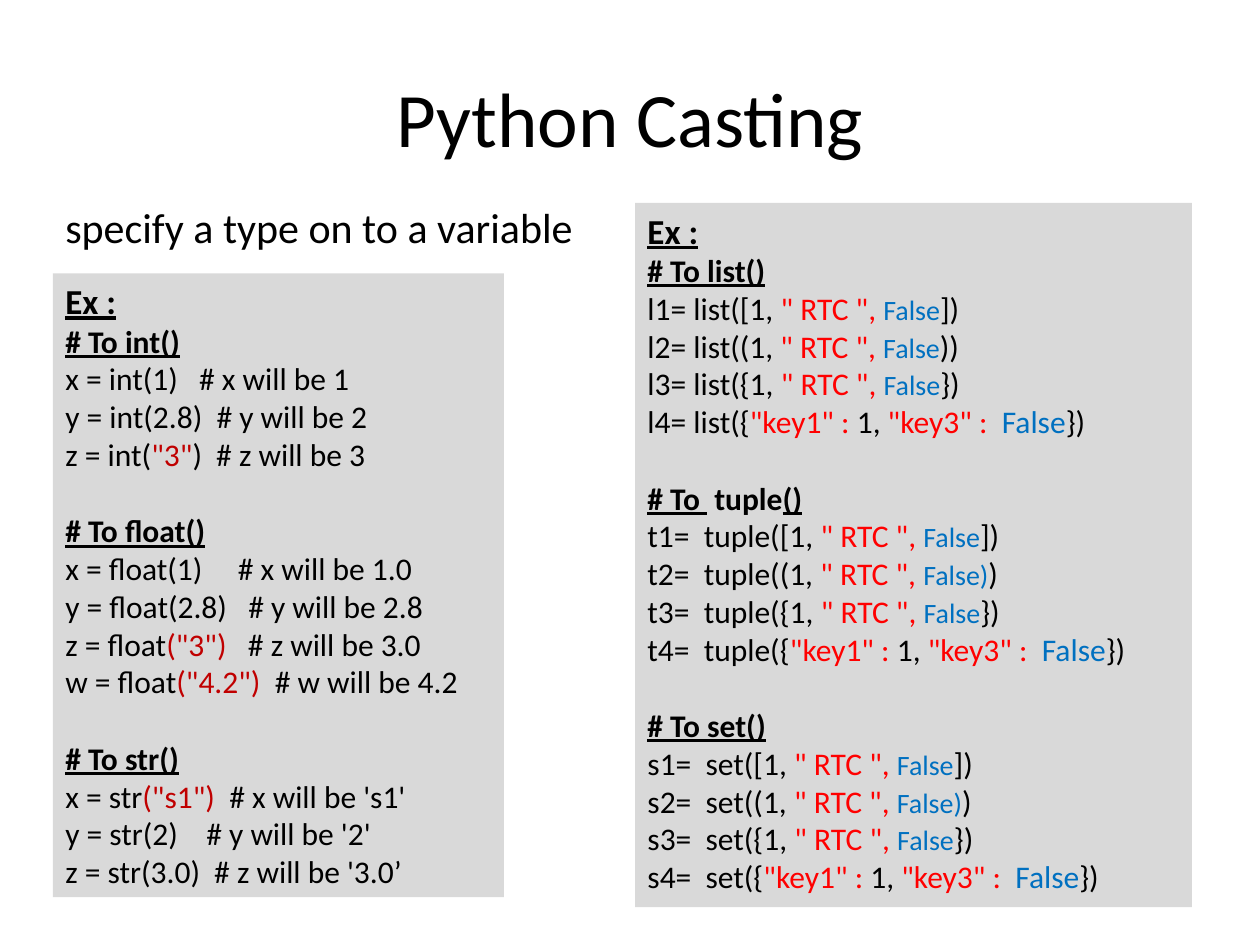
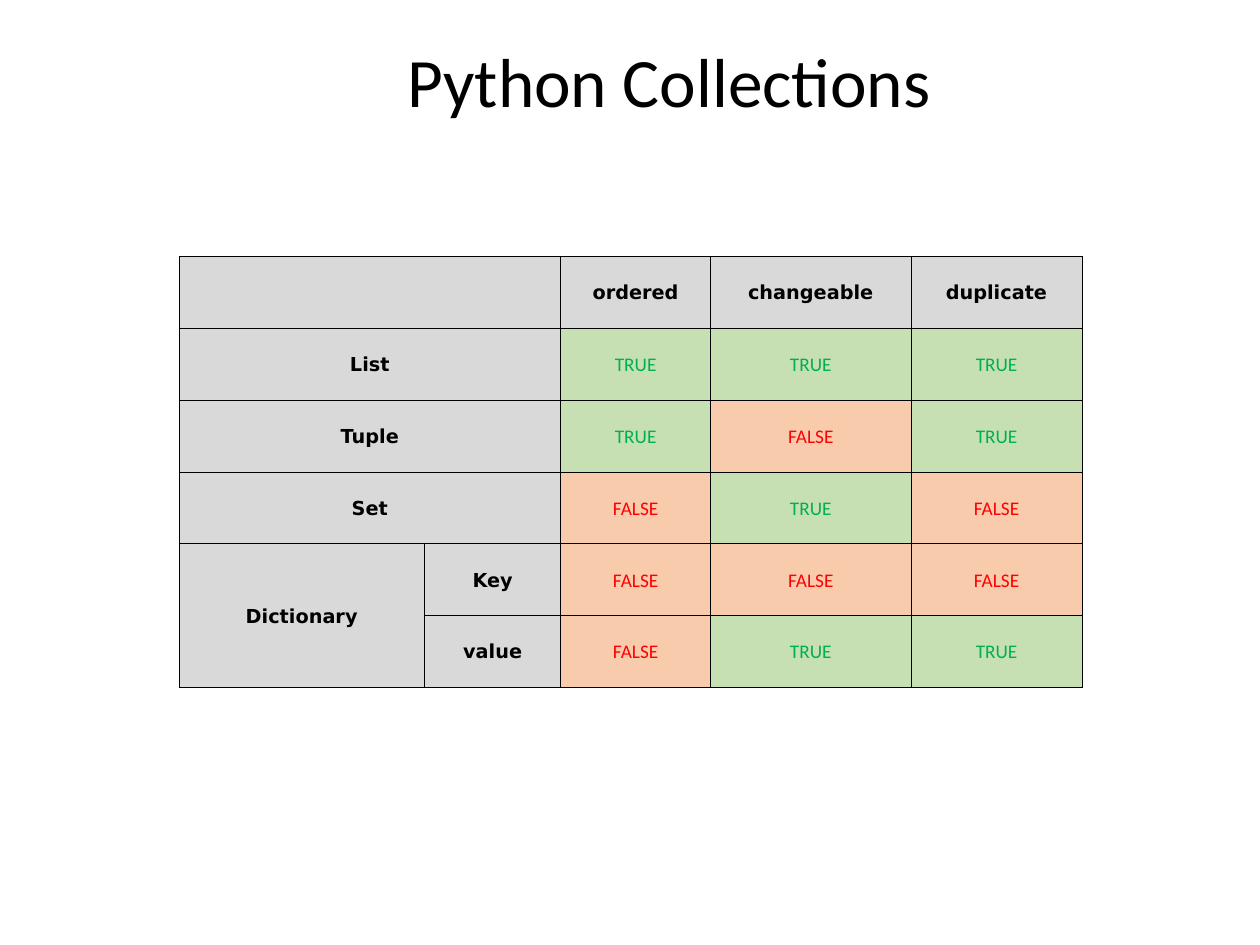
import pptx
import pptx.util
import pptx.dml.color
import pptx.enum.shapes
import pptx.enum.text
import pptx.oxml
import pptx.oxml.ns

Pt, Inches = pptx.util.Pt, pptx.util.Inches
ALIGN, ANCHOR = pptx.enum.text.PP_ALIGN, pptx.enum.text.MSO_ANCHOR

HEX = {"ink": "000000", "panel": "D9D9D9", "dark": "C00000", "red": "FF0000",
       "blue": "0070C0", "green": "00B050", "mint": "C6E0B4", "peach": "F8CBAD"}

# Text styles: size, font and colour, with bold and underline where needed
BASE = {"name": "Calibri", "size": Pt(18), "color": "ink", "bold": False}
STYLES = {
    "code": BASE,
    "label": {**BASE, "size": Pt(20), "bold": True, "underline": True},
    "head": {**BASE, "bold": True, "underline": True},
    "bold": {**BASE, "bold": True},
    "dark": {**BASE, "color": "dark"},
    "red": {**BASE, "color": "red"},
    "blue": {**BASE, "color": "blue"},
    "small": {**BASE, "color": "blue", "size": Pt(16)},
    "title": {**BASE, "size": Pt(44)},
    "title2": {**BASE, "size": Pt(39.6)},
    "lead": {**BASE, "size": Pt(24)},
    "name": {**BASE, "name": "DejaVu Sans", "size": Pt(11), "bold": True},
    "TRUE": {**BASE, "size": Pt(11), "color": "green"},
    "FALSE": {**BASE, "size": Pt(11), "color": "red"},
}

# Boxes as left, top, width, height in percent of the slide
TITLE = (5, 4, 90, 16.67)
LEAD = (4.2, 20.67, 90, 6.67)
LEFT = (4.2, 28.93, 35.8, 66)
RIGHT = (50.4, 21.47, 44.2, 74.53)
GRID = (14.2, 27.1, 71.7, 45.7)

# In each code line, the parts between bars are dark red
CASTS = [
    ("# To int()", ["x = int(1)   # x will be 1",
                    "y = int(2.8)  # y will be 2",
                    'z = int(|"3"|)  # z will be 3']),
    ("# To float()", ["x = float(1)     # x will be 1.0",
                      "y = float(2.8)   # y will be 2.8",
                      'z = float|("3")|   # z will be 3.0',
                      'w = float|("4.2")|  # w will be 4.2']),
    ("# To str()", ["x = str|(\"s1\")|  # x will be 's1'",
                    "y = str(2)    # y will be '2'",
                    "z = str(3.0)  # z will be '3.0’"]),
]

# Heading runs, start of each call, blue text in the second line
GROUPS = [
    ([("head", "# To list()")], "l", " list(", "False"),
    ([("head", "# To "), ("bold", " tuple"), ("head", "()")], "t", "  tuple(", "False)"),
    ([("head", "# To set()")], "s", "  set(", "False)"),
]
PAIRS = ["[]", "()", "{}"]

COLS = [1.95, 1.08, 1.19, 1.59, 1.36]
ROWS = [
    ["", "", "ordered", "changeable", "duplicate"],
    ["List", "", "TRUE", "TRUE", "TRUE"],
    ["Tuple", "", "TRUE", "FALSE", "TRUE"],
    ["Set", "", "FALSE", "TRUE", "FALSE"],
    ["Dictionary", "Key", "FALSE", "FALSE", "FALSE"],
    ["", "value", "FALSE", "TRUE", "TRUE"],
]
MERGES = [((row, 0), (row, 1)) for row in range(4)] + [((4, 0), (5, 0))]
FILLS = {"TRUE": "mint", "FALSE": "peach"}


def rgb(key):
    return pptx.dml.color.RGBColor.from_string(HEX[key])


def place(box):
    """Turn percents of the slide into lengths."""
    return [Inches(part * side / 100) for part, side in zip(box, (10, 7.5, 10, 7.5))]


def write(para, runs, align=ALIGN.LEFT):
    para.alignment = align
    for style, text in runs:
        run = para.add_run()
        run.text = text
        for key, value in STYLES[style].items():
            if key == "color":
                run.font.color.rgb = rgb(value)
            else:
                setattr(run.font, key, value)


def start(deck, text, style, **frame):
    """Add a title-only slide and set its title."""
    slide = deck.slides.add_slide(deck.slide_layouts[5])
    title = slide.shapes.title
    title.left, title.top, title.width, title.height = place(TITLE)
    for key, value in {"vertical_anchor": ANCHOR.MIDDLE, **frame}.items():
        setattr(title.text_frame, key, value)
    write(title.text_frame.paragraphs[0], [(style, text)], ALIGN.CENTER)
    return slide


def cast_lines():
    for head, lines in CASTS:
        yield [("head", head)]
        for line in lines:
            yield [("dark" if i % 2 else "code", part)
                   for i, part in enumerate(line.split("|"))]


def group_lines():
    for head, letter, call, second in GROUPS:
        yield head
        for i, (left, right) in enumerate(PAIRS, 1):
            blue = second if i == 2 else "False"
            tail = "False" + right + ")"
            yield [("code", f"{letter}{i}={call}{left}1,"), ("red", ' " RTC ", '),
                   ("small", blue), ("code", tail[len(blue):])]
        yield [("code", f"{letter}4={call}{{"), ("red", '"key1" : '), ("code", "1,"),
               ("red", ' "key3" :  '), ("blue", "False"), ("code", "})")]


def panel(slide, box, lines):
    shape = slide.shapes.add_shape(pptx.enum.shapes.MSO_SHAPE.RECTANGLE, *place(box))
    shape.shadow.inherit = False
    shape.fill.solid()
    shape.fill.fore_color.rgb = rgb("panel")
    shape.line.fill.background()
    frame = shape.text_frame
    frame.word_wrap, frame.vertical_anchor = True, ANCHOR.TOP
    write(frame.paragraphs[0], [("label", "Ex :")])
    for i, runs in enumerate(lines):
        para = frame.add_paragraph()
        if i and runs[0][0] == "head":
            para.space_before = Pt(22)
        write(para, runs)


def border(cell):
    props = cell._tc.get_or_add_tcPr()
    for i, side in enumerate(("lnL", "lnR", "lnT", "lnB")):
        props.insert(i, pptx.oxml.parse_xml(
            f'<a:{side} {pptx.oxml.ns.nsdecls("a")} w="{Pt(0.5)}"><a:solidFill>'
            f'<a:srgbClr val="{HEX["ink"]}"/></a:solidFill></a:{side}>'))


def grid(slide):
    table = slide.shapes.add_table(len(ROWS), len(COLS), *place(GRID)).table
    table.first_row = table.horz_banding = False
    for col, width in zip(table.columns, COLS):
        col.width = Inches(width)
    inset = {"margin_left": Inches(0.01), "margin_right": Inches(0.01),
             "margin_top": Inches(0.01), "margin_bottom": 0,
             "vertical_anchor": ANCHOR.MIDDLE}
    for r, row in enumerate(ROWS):
        for c, text in enumerate(row):
            cell = table.cell(r, c)
            for key, value in inset.items():
                setattr(cell, key, value)
            cell.fill.solid()
            cell.fill.fore_color.rgb = rgb(FILLS.get(text, "panel"))
            border(cell)
            if text:
                style = text if text in FILLS else "name"
                write(cell.text_frame.paragraphs[0], [(style, text)], ALIGN.CENTER)
    for first, last in MERGES:
        table.cell(*first).merge(table.cell(*last))


def main():
    deck = pptx.Presentation()
    deck.slide_width, deck.slide_height = Inches(10), Inches(7.5)

    slide = start(deck, "Python Casting", "title")
    lead = slide.shapes.add_textbox(*place(LEAD)).text_frame
    lead.word_wrap = True
    write(lead.paragraphs[0], [("lead", "specify a type on to a variable")])
    panel(slide, LEFT, cast_lines())
    panel(slide, RIGHT, group_lines())

    slide = start(deck, "Python Collections", "title2", vertical_anchor=ANCHOR.TOP,
                  margin_top=0, margin_left=Inches(0.72))
    grid(slide)
    deck.save("out.pptx")


if __name__ == "__main__":
    main()
